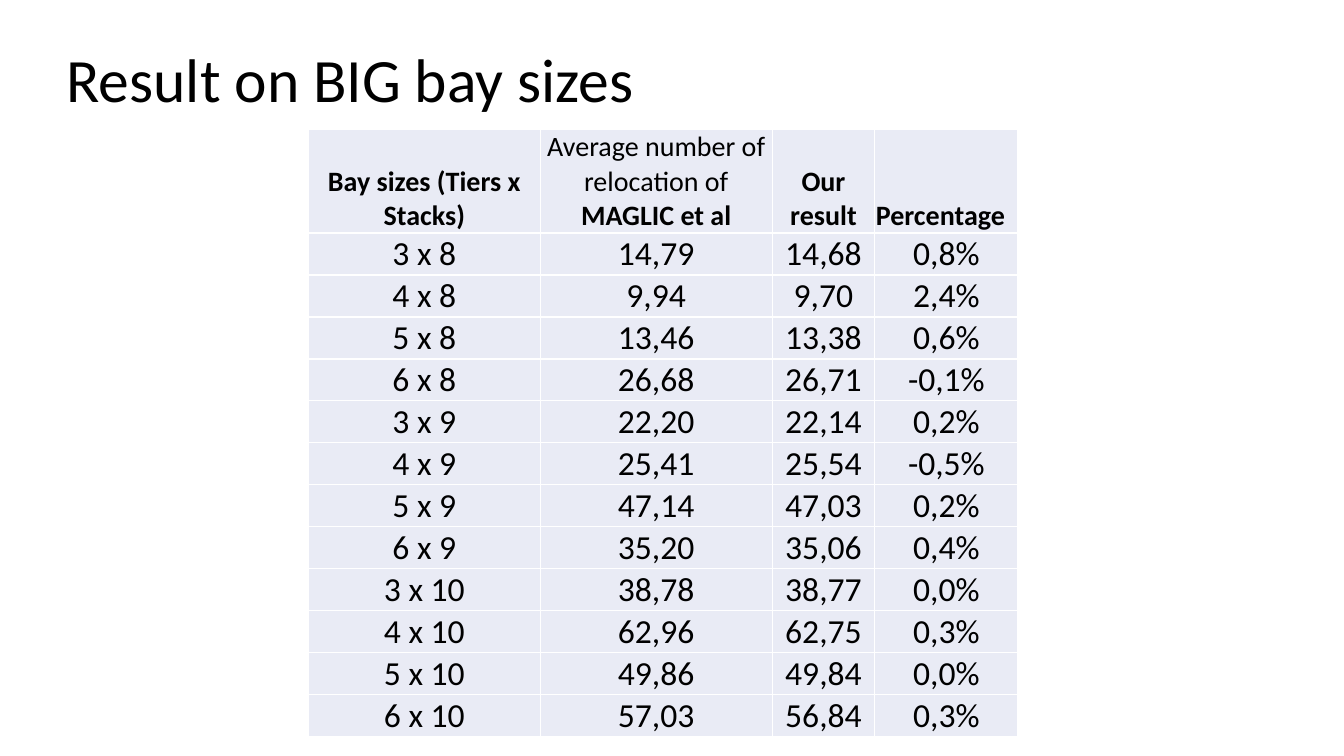
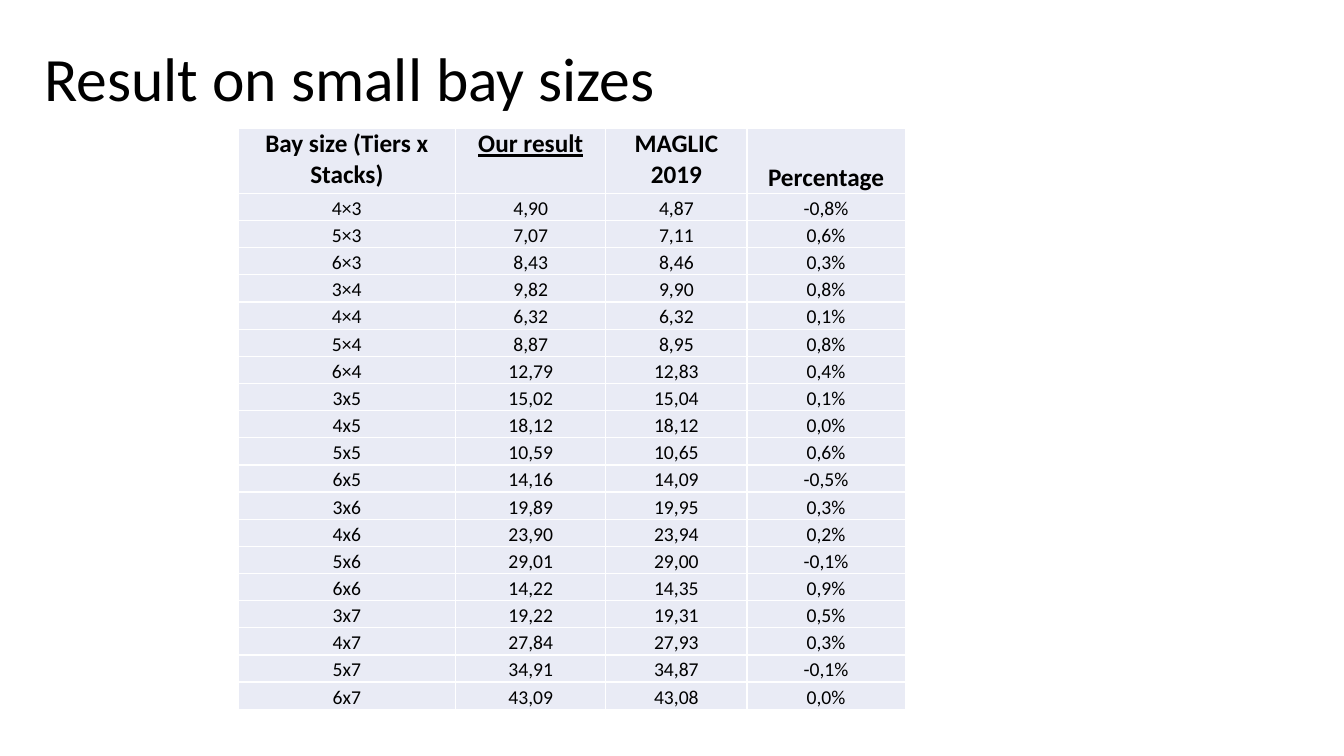
from dataclasses import dataclass

import lxml.etree
import pptx
import pptx.dml.color
import pptx.enum.text
import pptx.oxml.ns
import pptx.util

Pt = pptx.util.Pt
RGB = pptx.dml.color.RGBColor
ALIGN = pptx.enum.text.PP_ALIGN
ANCHOR = pptx.enum.text.MSO_ANCHOR
qn = pptx.oxml.ns.qn


@dataclass(frozen=True)
class Theme:
    font: str = "Calibri"
    text: str = "000000"
    cell: str = "E9EBF5"
    border: str = "FFFFFF"
    border_width: float = 1
    title_size: float = 44
    big_head: float = 20
    big_body: float = 24
    small_head: float = 18
    small_body: float = 14


class Deck:
    """Holds the theme and the current slide."""

    def __init__(self, theme):
        self.theme = theme
        self.prs = pptx.Presentation()
        self.prs.slide_width, self.prs.slide_height = Pt(960), Pt(540)
        self.s = None

    def set_attrs(self, target, values):
        for name, value in values.items():
            setattr(target, name, value)

    def run(self, p, text, **values):
        r = p.add_run()
        r.text = text
        self.set_attrs(r.font, {"name": self.theme.font, **values})
        r.font.color.rgb = RGB.from_string(self.theme.text)

    def slide(self, title, left, top, width, height):
        self.s = self.prs.slides.add_slide(self.prs.slide_layouts[5])
        sp = self.s.shapes.title
        self.set_attrs(sp, {"left": Pt(left), "top": Pt(top),
                            "width": Pt(width), "height": Pt(height)})
        tf = sp.text_frame
        self.set_attrs(tf, {"word_wrap": True,
                            "vertical_anchor": ANCHOR.MIDDLE,
                            "auto_size": pptx.enum.text.MSO_AUTO_SIZE.NONE})
        p = tf.paragraphs[0]
        self.set_attrs(p, {"alignment": ALIGN.LEFT, "line_spacing": 0.9})
        self.run(p, title, size=Pt(self.theme.title_size))

    def borders(self, cell):
        tc_pr = cell._tc.get_or_add_tcPr()
        for side in ("a:lnL", "a:lnR", "a:lnT", "a:lnB"):
            ln = lxml.etree.SubElement(tc_pr, qn(side),
                                       w=str(Pt(self.theme.border_width)))
            fill = lxml.etree.SubElement(ln, qn("a:solidFill"))
            lxml.etree.SubElement(fill, qn("a:srgbClr"), val=self.theme.border)

    def cell(self, cell, runs, size, align=ALIGN.CENTER, anchor=ANCHOR.BOTTOM):
        self.set_attrs(cell, {"margin_left": Pt(0.7), "margin_right": Pt(0.7),
                              "margin_top": Pt(0.7), "margin_bottom": 0,
                              "vertical_anchor": anchor})
        self.borders(cell)
        cell.fill.solid()
        cell.fill.fore_color.rgb = RGB.from_string(self.theme.cell)
        p = cell.text_frame.paragraphs[0]
        p.alignment = align
        for text, values in runs:
            self.run(p, text, size=Pt(size), **values)

    def table(self, left, top, widths, heights, sizes, header, rows):
        """heights and sizes are pairs: header row, body rows."""
        row_heights = [heights[0]] + [heights[1]] * len(rows)
        table = self.s.shapes.add_table(
            len(row_heights), len(widths), Pt(left), Pt(top),
            Pt(sum(widths)), Pt(sum(row_heights))).table
        self.set_attrs(table, {"first_row": False, "horz_banding": False})
        for column, width in zip(table.columns, widths):
            column.width = Pt(width)
        for row, height in zip(table.rows, row_heights):
            row.height = Pt(height)
        for i, (runs, values) in enumerate(header):
            self.cell(table.cell(0, i), runs, sizes[0], **values)
        for j, row in enumerate(rows, 1):
            for i, text in enumerate(row):
                self.cell(table.cell(j, i), [(text, {"bold": False})], sizes[1])


BOLD = {"bold": True}
TOP = {"anchor": ANCHOR.TOP}

BIG_HEADER = [
    ([("Bay sizes (Tiers x Stacks)", BOLD)], {}),
    ([("Average number of relocation of ", {"bold": False}),
      ("MAGLIC et al", BOLD)], {}),
    ([("Our result", BOLD)], {}),
    ([("Percentage", BOLD)], {"align": ALIGN.LEFT}),
]
BIG_ROWS = [
    ("3 x 8", "14,79", "14,68", "0,8%"),
    ("4 x 8", "9,94", "9,70", "2,4%"),
    ("5 x 8", "13,46", "13,38", "0,6%"),
    ("6 x 8", "26,68", "26,71", "-0,1%"),
    ("3 x 9", "22,20", "22,14", "0,2%"),
    ("4 x 9", "25,41", "25,54", "-0,5%"),
    ("5 x 9", "47,14", "47,03", "0,2%"),
    ("6 x 9", "35,20", "35,06", "0,4%"),
    ("3 x 10", "38,78", "38,77", "0,0%"),
    ("4 x 10", "62,96", "62,75", "0,3%"),
    ("5 x 10", "49,86", "49,84", "0,0%"),
    ("6 x 10", "57,03", "56,84", "0,3%"),
]
SMALL_HEADER = [
    ([("Bay size (Tiers x Stacks)", BOLD)], TOP),
    ([("Our result", {"bold": True, "underline": True})], TOP),
    ([("MAGLIC 2019", BOLD)], TOP),
    ([("Percentage", BOLD)], {}),
]
SMALL_ROWS = [
    ("4×3", "4,90", "4,87", "-0,8%"),
    ("5×3", "7,07", "7,11", "0,6%"),
    ("6×3", "8,43", "8,46", "0,3%"),
    ("3×4", "9,82", "9,90", "0,8%"),
    ("4×4", "6,32", "6,32", "0,1%"),
    ("5×4", "8,87", "8,95", "0,8%"),
    ("6×4", "12,79", "12,83", "0,4%"),
    ("3x5", "15,02", "15,04", "0,1%"),
    ("4x5", "18,12", "18,12", "0,0%"),
    ("5x5", "10,59", "10,65", "0,6%"),
    ("6x5", "14,16", "14,09", "-0,5%"),
    ("3x6", "19,89", "19,95", "0,3%"),
    ("4x6", "23,90", "23,94", "0,2%"),
    ("5x6", "29,01", "29,00", "-0,1%"),
    ("6x6", "14,22", "14,35", "0,9%"),
    ("3x7", "19,22", "19,31", "0,5%"),
    ("4x7", "27,84", "27,93", "0,3%"),
    ("5x7", "34,91", "34,87", "-0,1%"),
    ("6x7", "43,09", "43,08", "0,0%"),
]


def main():
    theme = Theme()
    deck = Deck(theme)

    # Big bay sizes
    deck.slide("Result on BIG bay sizes", 40.3, 6.5, 828, 104.4)
    deck.table(220.3, 92.2, (165.6, 165.6, 73.4, 102.2), (74, 29.7),
               (theme.big_head, theme.big_body), BIG_HEADER, BIG_ROWS)

    # Small bay sizes
    deck.slide("Result on small bay sizes", 24.5, 24.5, 782.6, 67)
    deck.table(170, 91.4, (155.5, 107.3, 100.8, 113), (46.8, 19.4),
               (theme.small_head, theme.small_body), SMALL_HEADER, SMALL_ROWS)

    deck.prs.save("out.pptx")


if __name__ == "__main__":
    main()
